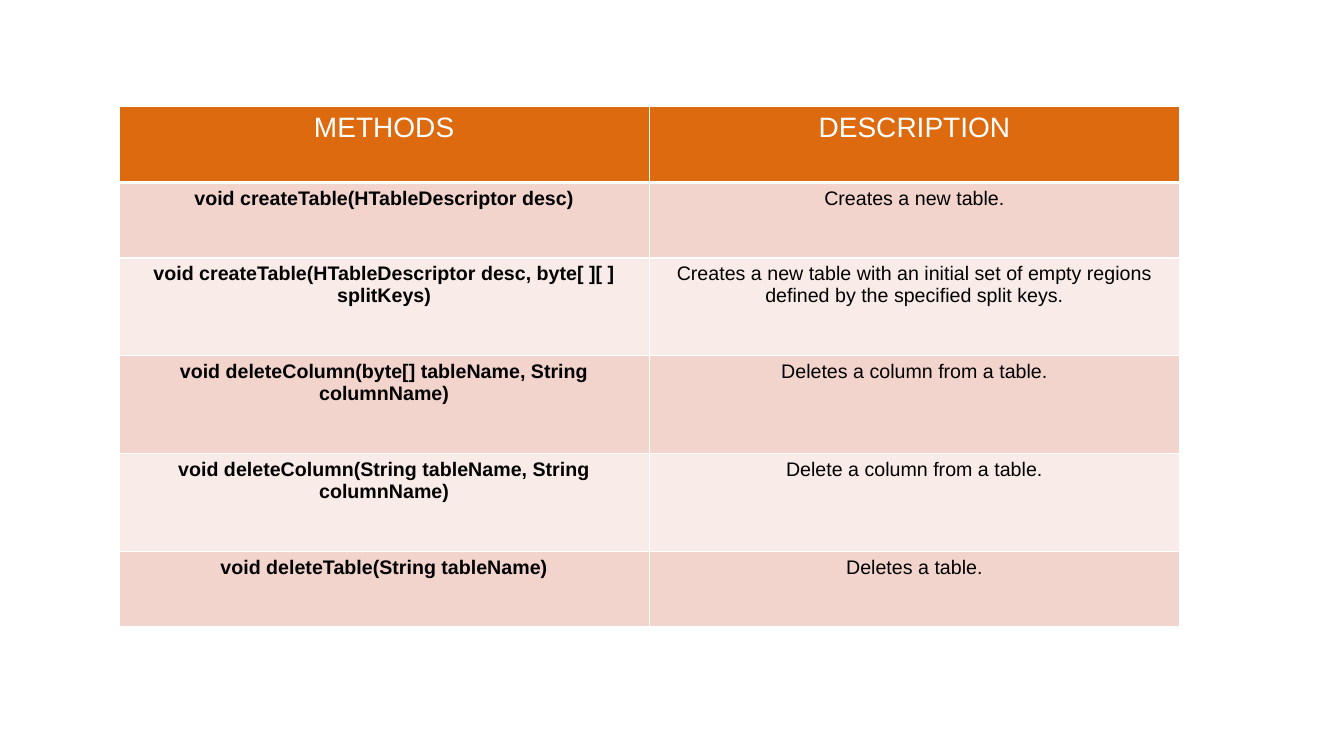
from dataclasses import dataclass

from lxml.etree import SubElement as Sub
from pptx import Presentation
from pptx.dml.color import RGBColor as Rgb
from pptx.enum.text import PP_ALIGN as Align
from pptx.oxml.ns import qn
from pptx.util import Inches, Pt


@dataclass(frozen=True)
class Theme:
    font: str = "Arial"
    head: str = "DE6A10"
    bands: tuple = ("F2D4CC", "F9EBE7")
    white: str = "FFFFFF"
    ink: str = "000000"
    big: int = 20
    body: int = 14
    thin: int = 1
    thick: int = 3


class Deck:
    def __init__(self, theme):
        self.theme = theme
        self.prs = Presentation()
        self.prs.slide_width = Inches(13.33)
        self.prs.slide_height = Inches(7.5)
        self.slide = self.prs.slides.add_slide(self.prs.slide_layouts[6])

    def edge(self, cell, side, width):
        props = cell._tc.get_or_add_tcPr()
        line = Sub(props, qn(f"a:ln{side}"), w=str(Pt(width)))
        fill = Sub(line, qn("a:solidFill"))
        Sub(fill, qn("a:srgbClr"), val=self.theme.white)

    def cell(self, cell, text, row, col):
        theme = self.theme
        head = row == 0
        rules = {"L": theme.thin, "R": theme.thin,
                 "T": theme.thick if row == 1 else theme.thin,
                 "B": theme.thick if head else theme.thin}
        for side, width in rules.items():
            self.edge(cell, side, width)
        cell.fill.solid()
        shade = theme.head if head else theme.bands[(row - 1) % 2]
        cell.fill.fore_color.rgb = Rgb.from_string(shade)
        para = cell.text_frame.paragraphs[0]
        para.alignment = Align.CENTER
        run = para.add_run()
        run.text = text
        font = run.font
        font.name = theme.font
        font.size = Pt(theme.big if head else theme.body)
        font.bold = not head and col == 0
        font.color.rgb = Rgb.from_string(theme.white if head else theme.ink)

    def table(self, rows, left, top, width, highs):
        cols = len(rows[0])
        frame = self.slide.shapes.add_table(
            len(rows), cols, Inches(left), Inches(top),
            Inches(width), Inches(sum(highs)))
        grid = frame.table
        for col in grid.columns:
            col.width = Inches(width / cols)
        for r, (texts, high) in enumerate(zip(rows, highs)):
            grid.rows[r].height = Inches(high)
            for c, text in enumerate(texts):
                self.cell(grid.cell(r, c), text, r, c)


METHODS = [
    ("METHODS", "DESCRIPTION"),
    ("void createTable(HTableDescriptor desc)", "Creates a new table."),
    ("void createTable(HTableDescriptor desc, byte[ ][ ] splitKeys)",
     "Creates a new table with an initial set of empty regions "
     "defined by the specified split keys."),
    ("void deleteColumn(byte[] tableName, String columnName)",
     "Deletes a column from a table."),
    ("void deleteColumn(String tableName, String columnName)",
     "Delete a column from a table."),
    ("void deleteTable(String tableName)", "Deletes a table."),
]


def main():
    deck = Deck(Theme())
    highs = [0.75] * 2 + [0.97] * 3 + [0.75]
    deck.table(METHODS, 1.18, 1.06, 10.52, highs)
    deck.prs.save("out.pptx")


if __name__ == "__main__":
    main()
